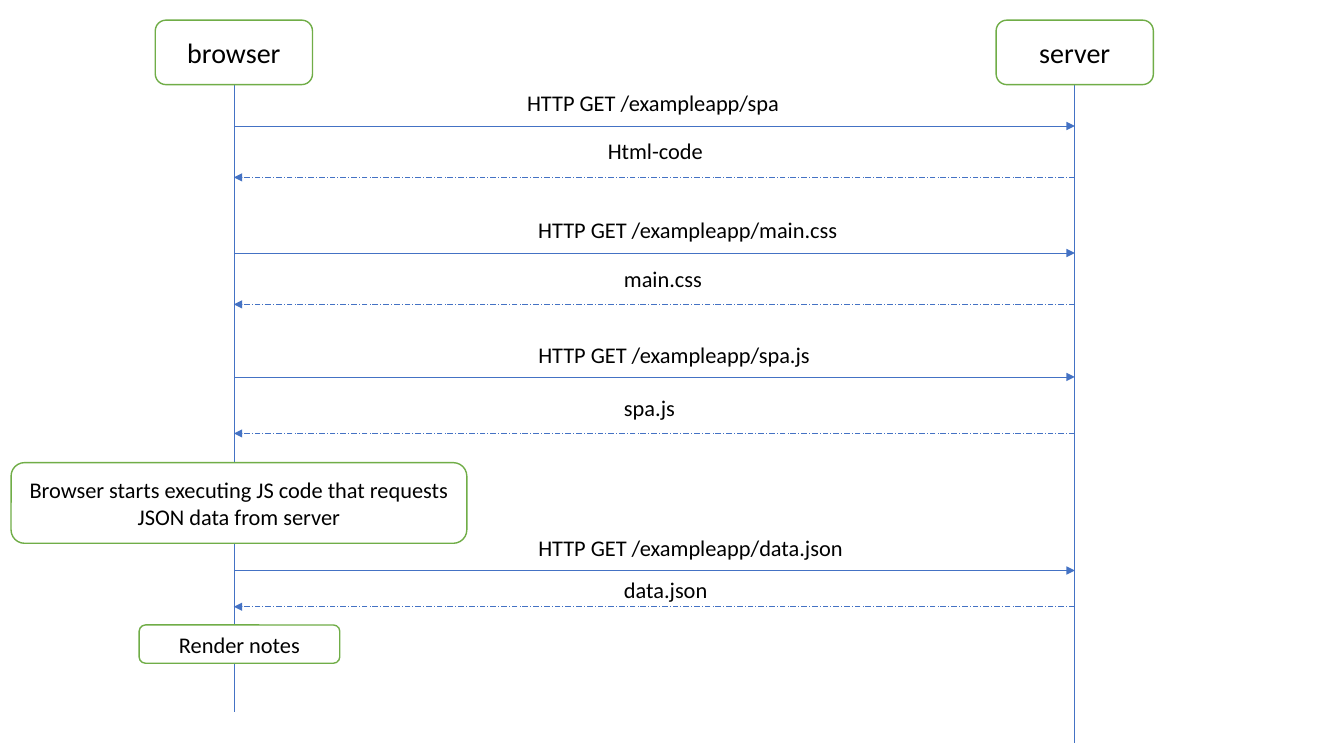
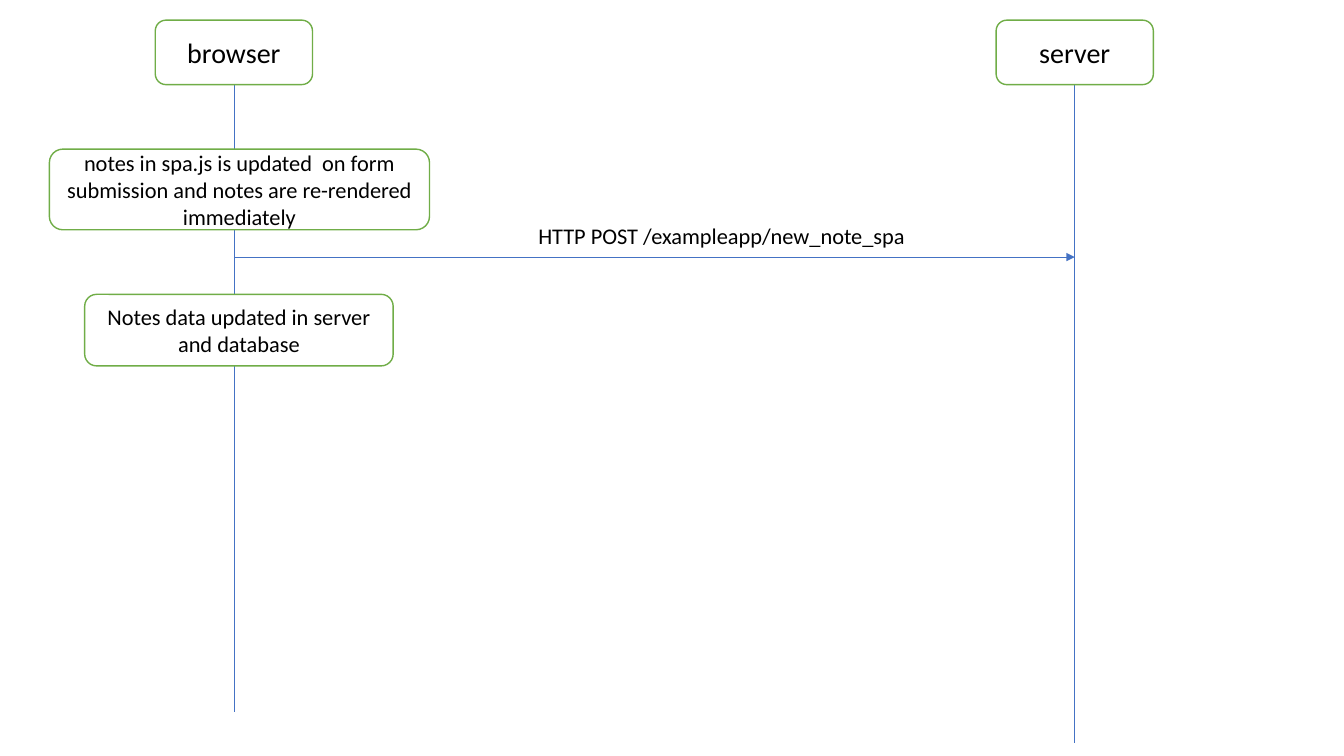
import pptx
import pptx.util
import pptx.dml.color
import pptx.enum.dml
import pptx.enum.shapes
import pptx.enum.text
import pptx.oxml.ns
import lxml.etree

Inches = pptx.util.Inches
Pt = pptx.util.Pt
RGBColor = pptx.dml.color.RGBColor

COLORS = {"box": "FFFFFF", "border": "70AD47", "line": "4472C4", "text": "000000"}
FONT = "Calibri"
BROWSER_X, SERVER_X = 2.32, 10.66
HEADER_TOP, HEADER_WIDTH, HEADER_HEIGHT = 0.2, 1.56, 0.64
LIFELINE_TOP = HEADER_TOP + HEADER_HEIGHT
LABEL_HEIGHT = 0.37

# Participants: name, centre, bottom of lifeline
PARTICIPANTS = [("browser", BROWSER_X, 7.06), ("server", SERVER_X, 7.37)]

# Messages: text, is a reply, arrow height, label left, label top, label width
# Notes: text, left, top, width, height
DIAGRAMS = [
    {
        "messages": [
            ("HTTP GET /exampleapp/spa", False, 1.25, 5.13, 0.84, 2.73),
            ("Html-code", True, 1.76, 5.93, 1.31, 1.16),
            ("HTTP GET /exampleapp/main.css", False, 2.51, 5.24, 2.1, 3.2),
            ("main.css", True, 3.02, 6.09, 2.58, 0.98),
            ("HTTP GET /exampleapp/spa.js", False, 3.74, 5.24, 3.34, 3.01),
            ("spa.js", True, 4.3, 6.09, 3.86, 0.71),
            ("HTTP GET /exampleapp/data.json", False, 5.66, 5.24, 5.25, 3.25),
            ("data.json", True, 6.02, 6.09, 5.67, 1.04),
        ],
        "notes": [
            ("Browser starts executing JS code that requests JSON data from server",
             0.11, 4.59, 4.52, 0.8),
            ("Render notes", 1.38, 6.2, 1.99, 0.38),
        ],
    },
    {
        "messages": [
            ("HTTP POST /exampleapp/new_note_spa", False, 2.55, 5.24, 2.15, 3.88),
        ],
        "notes": [
            ("notes in spa.js is updated  on form submission and notes are "
             "re-rendered immediately", 0.49, 1.48, 3.77, 0.8),
            ("Notes data updated in server and database", 0.84, 2.92, 3.06, 0.71),
        ],
    },
]


def write_text(shape, text, size):
    """Put one styled paragraph in a shape and return the paragraph."""
    paragraph = shape.text_frame.paragraphs[0]
    paragraph.text = text
    paragraph.font.name = FONT
    paragraph.font.size = Pt(size)
    paragraph.font.color.rgb = RGBColor.from_string(COLORS["text"])
    return paragraph


def add_line(slide, start_x, start_y, end_x, end_y, arrow=False):
    """Draw a thin line, with an arrowhead at its end if asked."""
    line = slide.shapes.add_connector(
        pptx.enum.shapes.MSO_CONNECTOR.STRAIGHT,
        Inches(start_x), Inches(start_y), Inches(end_x), Inches(end_y))
    line.line.color.rgb = RGBColor.from_string(COLORS["line"])
    line.line.width = Pt(0.5)
    properties = line._element.spPr
    lxml.etree.SubElement(properties, pptx.oxml.ns.qn("a:effectLst"))
    if arrow:
        outline = line.line._get_or_add_ln()
        lxml.etree.SubElement(outline, pptx.oxml.ns.qn("a:tailEnd"), type="triangle")
    return line


presentation = pptx.Presentation()
presentation.slide_width = Inches(13.33)
presentation.slide_height = Inches(7.5)
blank_layout = presentation.slide_layouts[6]

for diagram in DIAGRAMS:
    slide = presentation.slides.add_slide(blank_layout)

    boxes = []
    for name, center, bottom in PARTICIPANTS:
        add_line(slide, center, LIFELINE_TOP, center, bottom)
        boxes.append((name, center - HEADER_WIDTH / 2, HEADER_TOP,
                      HEADER_WIDTH, HEADER_HEIGHT, 20))
    boxes += [(*note, 16) for note in diagram["notes"]]

    for text, is_reply, arrow_y, left, top, width in diagram["messages"]:
        if is_reply:
            reply = add_line(slide, SERVER_X, arrow_y, BROWSER_X, arrow_y, arrow=True)
            reply.line.dash_style = pptx.enum.dml.MSO_LINE.LONG_DASH_DOT
        else:
            add_line(slide, BROWSER_X, arrow_y, SERVER_X, arrow_y, arrow=True)
        label = slide.shapes.add_textbox(
            Inches(left), Inches(top), Inches(width), Inches(LABEL_HEIGHT))
        label.text_frame.word_wrap = False
        label.text_frame.auto_size = pptx.enum.text.MSO_AUTO_SIZE.SHAPE_TO_FIT_TEXT
        write_text(label, text, 16)

    for text, left, top, width, height, size in boxes:
        box = slide.shapes.add_shape(
            pptx.enum.shapes.MSO_SHAPE.ROUNDED_RECTANGLE,
            Inches(left), Inches(top), Inches(width), Inches(height))
        box.shadow.inherit = False
        box.fill.solid()
        box.fill.fore_color.rgb = RGBColor.from_string(COLORS["box"])
        box.line.color.rgb = RGBColor.from_string(COLORS["border"])
        box.line.width = Pt(1)
        box.text_frame.word_wrap = True
        box.text_frame.vertical_anchor = pptx.enum.text.MSO_ANCHOR.MIDDLE
        paragraph = write_text(box, text, size)
        paragraph.alignment = pptx.enum.text.PP_ALIGN.CENTER

presentation.save("out.pptx")
